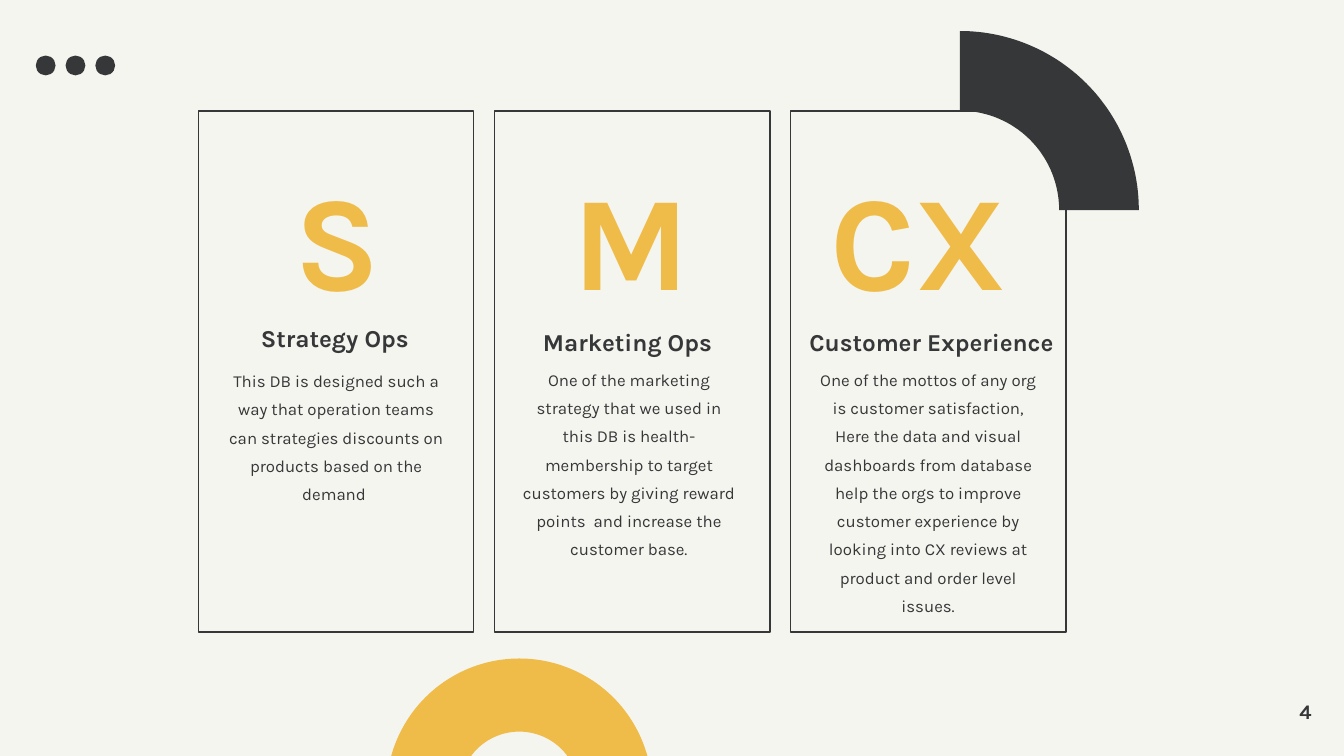
from math import cos, pi, sin

from pptx import Presentation
from pptx.dml.color import RGBColor
from pptx.enum.shapes import MSO_SHAPE
from pptx.enum.text import MSO_ANCHOR, PP_ALIGN
from pptx.util import Pt

DARK = RGBColor(0x36, 0x37, 0x39)
GOLD = RGBColor(0xEF, 0xBC, 0x49)
CREAM = RGBColor(0xF5, 0xF5, 0xEF)
FONT = "Karla"
STEP = 158.7

CARDS = [
    (("S", 122.4), ("Strategy Ops", 121, 169.9, 116.6),
     ("This DB is designed such a way that operation teams can "
      "strategies discounts on products based on the demand ",
      121.7, 194.4, 116.6, 76.3)),
    (("M", 280.1), ("Marketing Ops ", 279.4, 172.1, 116.6),
     ("One of the marketing strategy that we used in this DB is "
      "health-membership to target customers by giving reward "
      "points  and increase the customer base.",
      278.6, 193.7, 116.6, 91.4)),
    (("CX", 434.2), ("Customer Experience", 433.4, 172.1, 131),
     ("One of the mottos of any org is customer satisfaction, "
      "Here the data and visual dashboards from database help the orgs "
      "to improve customer experience by looking into CX reviews at "
      "product and order level issues.",
      439.2, 193.7, 116, 137.5)),
]


def paint(shape, color):
    shape.shadow.inherit = False
    shape.fill.solid()
    shape.fill.fore_color.rgb = color
    shape.line.fill.background()


def add_shape(slide, kind, x, y, w, h, color):
    shape = slide.shapes.add_shape(kind, Pt(x), Pt(y), Pt(w), Pt(h))
    paint(shape, color)
    return shape


def add_frame(slide, x):
    frame = add_shape(slide, MSO_SHAPE.RECTANGLE, x, 59.5, 147.6, 279.2, CREAM)
    frame.fill.background()
    frame.line.color.rgb = DARK
    frame.line.width = Pt(0.8)


def add_text(slide, text, x, y, w, h, size, color=DARK, bold=False,
             space=1.0, align=PP_ALIGN.CENTER, anchor=MSO_ANCHOR.TOP):
    box = slide.shapes.add_textbox(Pt(x), Pt(y), Pt(w), Pt(h))
    frame = box.text_frame
    frame.word_wrap = True
    frame.vertical_anchor = anchor
    frame.margin_left = frame.margin_right = 0
    frame.margin_top = frame.margin_bottom = 0
    para = frame.paragraphs[0]
    para.alignment = align
    para.line_spacing = space
    run = para.add_run()
    run.text = text
    run.font.name = FONT
    run.font.size = Pt(size)
    run.font.bold = bold
    run.font.color.rgb = color


def add_card(slide, x, letter, head, body):
    add_frame(slide, x)
    mark, left = letter
    add_text(slide, mark, left, 61.9, 116.6, 108.7, 72, GOLD, True, 1.25)
    add_text(slide, *head, 18.7, 13, bold=True, space=1.2)
    add_text(slide, *body, 9, space=1.4)


def add_arc(slide, x, y, outer, inner, steps=60):
    turns = [pi / 2 * i / steps for i in range(steps + 1)]
    rim = [(x + outer * sin(t), y - outer * cos(t)) for t in turns]
    hole = [(x + inner * sin(t), y - inner * cos(t)) for t in reversed(turns)]
    points = [(Pt(a), Pt(b)) for a, b in rim + hole]
    build = slide.shapes.build_freeform(*points[0])
    build.add_line_segments(points[1:], close=True)
    paint(build.convert_to_shape(), DARK)


def main():
    deck = Presentation()
    deck.slide_width, deck.slide_height = Pt(720), Pt(405)
    slide = deck.slides.add_slide(deck.slide_layouts[6])
    slide.background.fill.solid()
    slide.background.fill.fore_color.rgb = CREAM

    ring = add_shape(slide, MSO_SHAPE.DONUT, 207, 352.8, 142.4, 142.4, GOLD)
    ring.adjustments[0] = 0.275
    for i, card in enumerate(CARDS):
        add_card(slide, 106.2 + i * STEP, *card)
    add_arc(slide, 514.2, 112.5, 95.9, 53.2)
    for i in range(3):
        add_shape(slide, MSO_SHAPE.OVAL, 19.2 + i * 15.95, 29.8, 10.6, 10.6, DARK)
    add_text(slide, "4", 659.5, 373.7, 43.2, 14.4, 11, bold=True,
             align=PP_ALIGN.RIGHT, anchor=MSO_ANCHOR.MIDDLE)
    deck.save("out.pptx")


if __name__ == "__main__":
    main()
